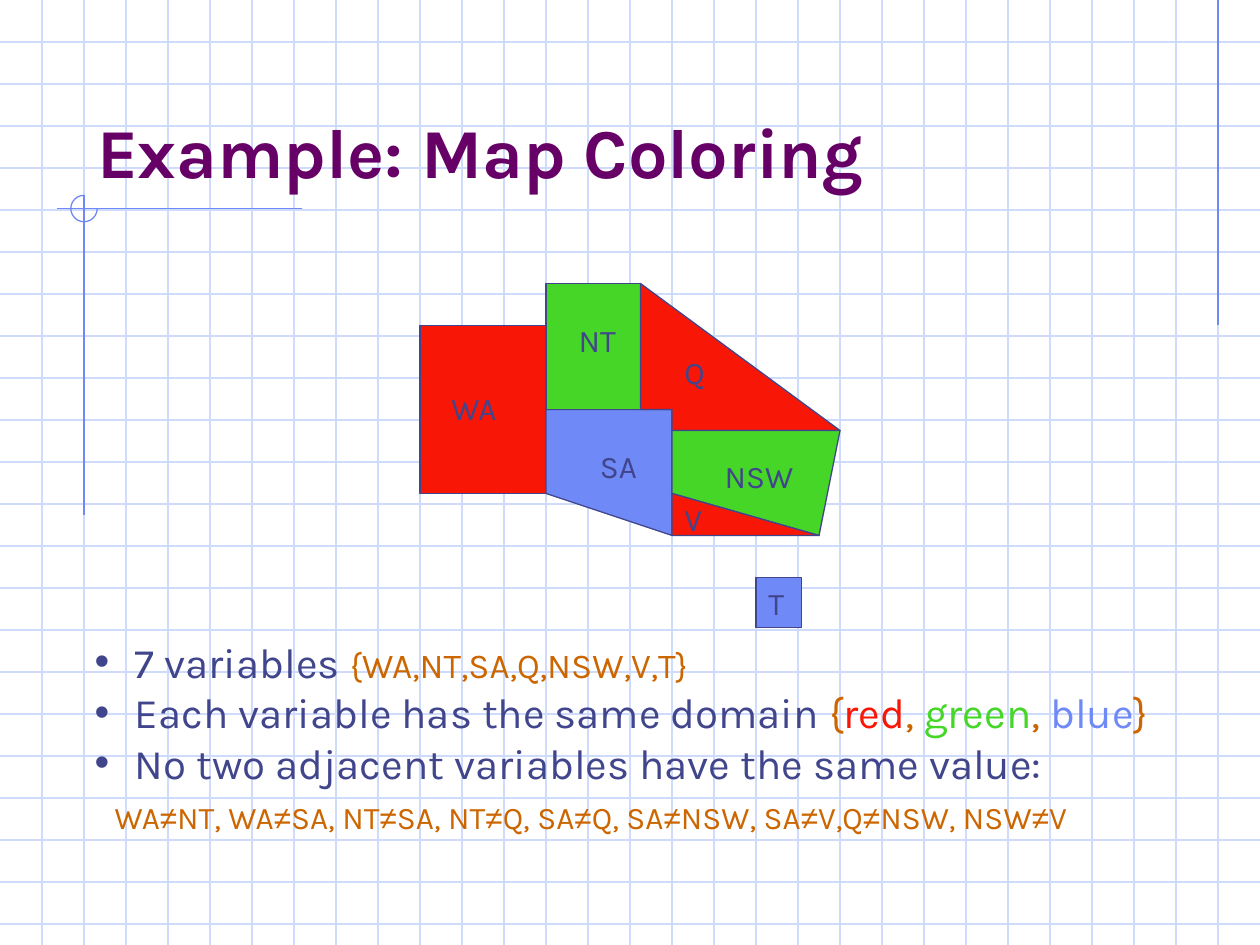
from itertools import groupby

from lxml import etree
from pptx import Presentation
from pptx.dml.color import RGBColor
from pptx.enum.shapes import MSO_CONNECTOR, MSO_SHAPE
from pptx.enum.text import MSO_ANCHOR as Anchor, MSO_AUTO_SIZE as AutoSize, PP_ALIGN as Align
from pptx.oxml.ns import qn
from pptx.util import Inches, Pt

PURPLE = RGBColor(0x66, 0x00, 0x66)
NAVY = RGBColor(0x40, 0x45, 0x8C)
ORANGE = RGBColor(0xCC, 0x66, 0x00)
RED = RGBColor(0xF8, 0x17, 0x06)
GREEN = RGBColor(0x45, 0xD6, 0x28)
BLUE = RGBColor(0x6F, 0x89, 0xF7)
PALE_BLUE = RGBColor(0xCF, 0xDB, 0xFD)
CELL = Inches(1 / 3)
THIN = Pt(0.75)


def add_text(paragraph, text, size=18, color=NAVY, font="Karla", bold=False):
    run = paragraph.add_run()
    run.text = text
    run.font.size = Pt(size)
    run.font.name = font
    run.font.bold = bold
    run.font.color.rgb = color


def add_line(slide, x1, y1, x2, y2, color):
    line = slide.shapes.add_connector(MSO_CONNECTOR.STRAIGHT, x1, y1, x2, y2)
    line.line.color.rgb = color
    line.line.width = THIN
    etree.SubElement(line._element.spPr, qn("a:effectLst"))


def add_graph_paper(slide, width, height):
    for y in range(CELL, height, CELL):
        add_line(slide, 0, y, width, y, PALE_BLUE)
    for x in range(CELL, width - CELL // 2, CELL):
        add_line(slide, x, 0, x, height, PALE_BLUE)


def add_accents(slide, width):
    right, corner_x, corner_y = width - CELL, 2 * CELL, Inches(1.655)
    radius = Inches(0.105)
    add_line(slide, right, 0, right, Inches(2.58), BLUE)
    add_line(slide, Inches(2.4), corner_y, Inches(0.45), corner_y, BLUE)
    add_line(slide, corner_x, corner_y - radius, corner_x, Inches(4.09), BLUE)
    arc = slide.shapes.add_shape(
        MSO_SHAPE.ARC, corner_x - radius, corner_y - radius, 2 * radius, 2 * radius)
    arc.adjustments[0], arc.adjustments[1] = 0, 162
    arc.fill.background()
    arc.line.color.rgb = BLUE
    arc.line.width = THIN
    arc.shadow.inherit = False


def place(slide, placeholder, left, top, width, height, anchor):
    placeholder.left, placeholder.top = left, top
    placeholder.width, placeholder.height = width, height
    frame = placeholder.text_frame
    frame.auto_size = AutoSize.NONE
    frame.vertical_anchor = anchor
    slide.shapes._spTree.append(placeholder._element)
    return frame


def add_title(slide, left, top, width, height):
    frame = place(slide, slide.shapes.title, left, top, width, height, Anchor.BOTTOM)
    heading = frame.paragraphs[0]
    heading.alignment = Align.LEFT
    add_text(heading, "Example: Map Coloring", size=40, color=PURPLE, bold=True)


def set_bullet(paragraph, indent, char=None):
    props = paragraph._p.get_or_add_pPr()
    props.set("marL", str(indent))
    props.set("indent", str(-indent if char else 0))
    if not char:
        etree.SubElement(props, qn("a:buNone"))
        return
    bullet_color = etree.SubElement(props, qn("a:buClr"))
    etree.SubElement(bullet_color, qn("a:srgbClr"), val=str(NAVY))
    etree.SubElement(props, qn("a:buFont"), typeface="Arial")
    etree.SubElement(props, qn("a:buChar"), char=char)


def add_problem(slide, left, top, width, height):
    frame = place(slide, slide.placeholders[1], left, top, width, height, Anchor.TOP)
    bullets = [
        [("7 variables ", 24, NAVY), ("{WA,NT,SA,Q,NSW,V,T}", 20, ORANGE)],
        [("Each variable has the same domain ", 24, NAVY), ("{", 24, ORANGE),
         ("red", 24, RED), (", ", 24, ORANGE), ("green", 24, GREEN),
         (", ", 24, ORANGE), ("blue", 24, BLUE), ("}", 24, ORANGE)],
        [("No two adjacent variables have the same value:", 24, NAVY)],
    ]
    for index, parts in enumerate(bullets):
        bullet = frame.add_paragraph() if index else frame.paragraphs[0]
        set_bullet(bullet, Inches(0.32), "•")
        bullet.space_before = Pt(0)
        for text, size, color in parts:
            add_text(bullet, text, size=size, color=color)

    constraints = frame.add_paragraph()
    set_bullet(constraints, Inches(0.16))
    constraints.space_before = Pt(6)
    pairs = "WA≠NT, WA≠SA, NT≠SA, NT≠Q, SA≠Q, SA≠NSW, SA≠V,Q≠NSW, NSW≠V"
    for is_sign, chars in groupby(pairs, lambda char: char == "≠"):
        add_text(constraints, "".join(chars), color=ORANGE,
                 font="Arial" if is_sign else "Karla")


def paint(region, color):
    region.fill.solid()
    region.fill.fore_color.rgb = color
    region.line.color.rgb = NAVY
    region.line.width = THIN
    region.shadow.inherit = False


def add_map(slide, left, top):
    def spot(column, row):
        return int(left + column * CELL), int(top + row * CELL)

    def add_block(column, row, width, height, color):
        block = slide.shapes.add_shape(MSO_SHAPE.RECTANGLE, *spot(column, row), width, height)
        paint(block, color)
        return block

    def add_outline(corners, color):
        start, *others = [spot(*corner) for corner in corners]
        builder = slide.shapes.build_freeform(*start)
        builder.add_line_segments(others, close=True)
        paint(builder.convert_to_shape(), color)

    add_block(0, 1, 3 * CELL, 4 * CELL, RED)
    add_outline([(3, 3), (6, 3), (6, 6), (3, 5)], BLUE)
    add_block(3, 0, Inches(0.75), 3 * CELL, GREEN)
    add_outline([(5.25, 0), (10, 3.5), (6, 3.5), (6, 3), (5.25, 3)], RED)
    add_outline([(6, 3.5), (6, 5), (9.5, 6), (10, 3.5)], GREEN)
    add_outline([(6, 5), (6, 6), (9.5, 6)], RED)

    labels = [
        ("WA", 0.15, 0.79, 0.59), ("NT", 1.16, 0.25, 0.53), ("SA", 1.33, 1.25, 0.5),
        ("Q", 2, 0.5, 0.39), ("NSW", 2.32, 1.33, 0.76), ("V", 2, 1.67, 0.35),
    ]
    for name, x, y, width in labels:
        label = slide.shapes.add_textbox(
            left + Inches(x), top + Inches(y), Inches(width), Inches(0.4))
        label.text_frame.word_wrap = False
        label.text_frame.auto_size = AutoSize.SHAPE_TO_FIT_TEXT
        add_text(label.text_frame.paragraphs[0], name)

    tasmania = add_block(8, 7, Inches(0.36), Inches(0.4), BLUE).text_frame
    tasmania.vertical_anchor = Anchor.TOP
    tasmania.word_wrap = True
    tasmania.paragraphs[0].alignment = Align.LEFT
    add_text(tasmania.paragraphs[0], "T")


def main():
    deck = Presentation()
    deck.slide_width, deck.slide_height = Inches(10), Inches(7.5)
    slide = deck.slides.add_slide(deck.slide_layouts[1])
    add_graph_paper(slide, deck.slide_width, deck.slide_height)
    add_accents(slide, deck.slide_width)
    add_title(slide, Inches(0.67), Inches(0.33), Inches(8.5), Inches(1.25))
    add_problem(slide, Inches(0.65), Inches(5), Inches(8.97), Inches(1.7))
    add_map(slide, 10 * CELL, Inches(2.25))
    deck.save("out.pptx")


if __name__ == "__main__":
    main()
